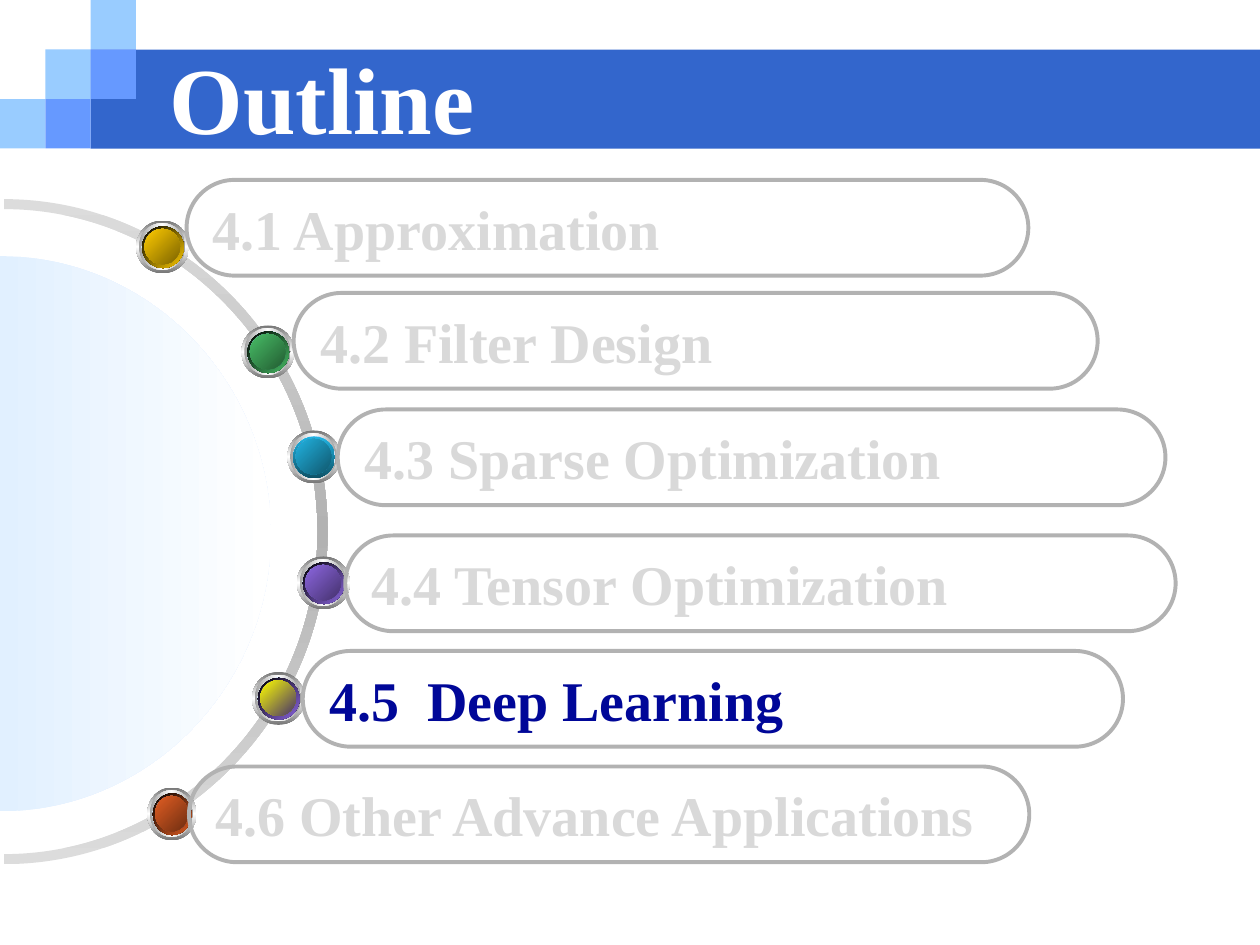
from pptx import Presentation
from pptx.dml.color import RGBColor
from pptx.enum.shapes import MSO_SHAPE as SHAPE
from pptx.enum.text import MSO_ANCHOR as ANCHOR, PP_ALIGN as ALIGN
from pptx.oxml.ns import qn
from pptx.util import Pt
from lxml.etree import SubElement

rgb = RGBColor.from_string


def paint(sp, colors, angle=0):
    """Fill without outline: one colour is solid, more are an even gradient, clockwise angle."""
    sp.shadow.inherit = False
    sp.line.fill.background()
    if len(colors) == 1:
        sp.fill.solid()
        sp.fill.fore_color.rgb = rgb(colors[0])
        return
    sp.fill.gradient()
    sp.fill.gradient_angle = -angle % 360
    stops = sp._element.spPr.find(qn("a:gradFill")).find(qn("a:gsLst"))
    for old in list(stops):
        stops.remove(old)
    for i, color in enumerate(colors):
        stop = SubElement(stops, qn("a:gs"), pos=str(100000 * i // (len(colors) - 1)))
        SubElement(stop, qn("a:srgbClr"), val=color)


def write(sp, text, size, color):
    tf = sp.text_frame
    tf.word_wrap = True
    tf.vertical_anchor = ANCHOR.MIDDLE
    tf.text = text
    p = tf.paragraphs[0]
    p.alignment = ALIGN.LEFT
    font = p.runs[0].font
    font.name, font.size, font.bold = "Times New Roman", Pt(size), True
    font.color.rgb = rgb(color)


prs = Presentation()
prs.slide_width, prs.slide_height = Pt(720), Pt(540)
s = prs.slides.add_slide(prs.slide_layouts[6])

# Title band with a staircase of squares
SQ_W, SQ_H = 25.9, 28.3
band = s.shapes.add_shape(SHAPE.RECTANGLE, Pt(2 * SQ_W), Pt(SQ_H), Pt(720 - 2 * SQ_W), Pt(2 * SQ_H))
paint(band, ["3366CC"])
squares = [(0, 2, "99CCFF"), (1, 1, "99CCFF"), (2, 0, "99CCFF"), (2, 1, "6699FF"), (1, 2, "6699FF")]
for col, row, color in squares:
    sp = s.shapes.add_shape(SHAPE.RECTANGLE, Pt(col * SQ_W), Pt(row * SQ_H), Pt(SQ_W), Pt(SQ_H))
    paint(sp, [color])
title = s.shapes.add_textbox(Pt(90), Pt(36), Pt(582), Pt(38))
write(title, "Outline", 54, "FFFFFF")

# Half ring and half disc: each right half of an ellipse is two Bezier curves
K = 0.55
HALF = [(0, -1), (K, -1), (1, -K), (1, 0), (1, K), (K, 1), (0, 1)]
inner = [(2.2 + 179.3 * u, 303.8 + 184.3 * v) for u, v in HALF]
outer = [(2.2 + 185 * u, 303.8 + 190 * v) for u, v in HALF]
disc = [(154.8 * u, 305 + 158.6 * v) for u, v in HALF]
for points, colors, angle in [
    (inner + outer[::-1], ["DCDCDC", "B2B2B2", "DCDCDC"], 90),
    (disc, ["E1F0FF", "FFFFFF"], 0),
]:
    points = [(Pt(x), Pt(y)) for x, y in points]
    fb = s.shapes.build_freeform(*points[0])
    fb.add_line_segments(points[1:], close=True)
    sp = fb.convert_to_shape()
    paint(sp, colors, angle)
    lines = list(sp._element.iter(qn("a:lnTo")))
    for start in range(0, len(lines), len(HALF)):
        for i in (start, start + 3):
            curve = lines[i].makeelement(qn("a:cubicBezTo"))
            lines[i].addprevious(curve)
            for line in lines[i:i + 3]:
                curve.append(line[0])
                line.getparent().remove(line)

# Outline rows: text, text colour, pill (x, y, width), bead (x, y, width),
# bead rim colours and angle, bead face colours
GREY, NAVY = "D9D9D9", "000798"
rows = [
    ("4.1 Approximation", GREY, (106.6, 102.8, 481), (77.8, 126, 30.2),
     ["000000", "FFCC00"], 45, ["FFCC00", "7C6300"]),
    ("4.2 Filter Design", GREY, (167.8, 167.4, 459.4), (138, 186, 30.2),
     ["000000", "48BE67"], 45, ["48BE67", "235C32"]),
    ("4.3 Sparse Optimization", GREY, (193, 234, 473), (164.2, 246, 30.2),
     ["21B3E1", "0F5368"], 90, ["21B3E1", "10576D"]),
    ("4.4 Tensor Optimization", GREY, (197.3, 306, 474.5), (169.7, 318, 30.2),
     ["000000", "8D67E1"], 45, ["8D67E1", "45326D"]),
    ("4.5  Deep Learning", NAVY, (173, 372, 468.7), (144, 384, 30.2),
     ["000000", "8D67E1"], 45, ["FFFF00", "45326D"]),
    ("4.6 Other Advance Applications", GREY, (108, 438, 480.2), (84.2, 450, 28),
     ["000000", "E35E23"], 45, ["E35E23", "6E2E11"]),
]
BEAD = 30.2
for text, color, (x, y, w), (bx, by, bw), rim, rim_angle, face in rows:
    bead = s.shapes.add_group_shape()
    layers = [
        (0, BEAD, ["767676", "FFFFFF", "767676"], 90),
        (1.6, 26.6, ["A2A2A2", "FFFFFF", "A2A2A2"], 0),
        (3.3, 23.8, ["FFFFFF", "99CCFF", "FFFFFF"], 45),
        (3.4, 23.8, rim, rim_angle),
        (4.8, 20.3, ["536E8A", "99CCFF", "536E8A"], 315),
        (4.8, 20.3, face, 45),
    ]
    k = bw / BEAD
    for inset, size, colors, angle in layers:
        sp = bead.shapes.add_shape(SHAPE.OVAL, Pt(bx + inset * k), Pt(by + inset), Pt(size * k), Pt(size))
        paint(sp, colors, angle)

    pill = s.shapes.add_shape(SHAPE.ROUNDED_RECTANGLE, Pt(x), Pt(y), Pt(w), Pt(54.7))
    pill.adjustments[0] = 0.5
    pill.shadow.inherit = False
    pill.fill.background()
    pill.line.color.rgb = rgb("B2B2B2")
    pill.line.width = Pt(2.25)
    write(pill, text, 32, color)

prs.save("out.pptx")
